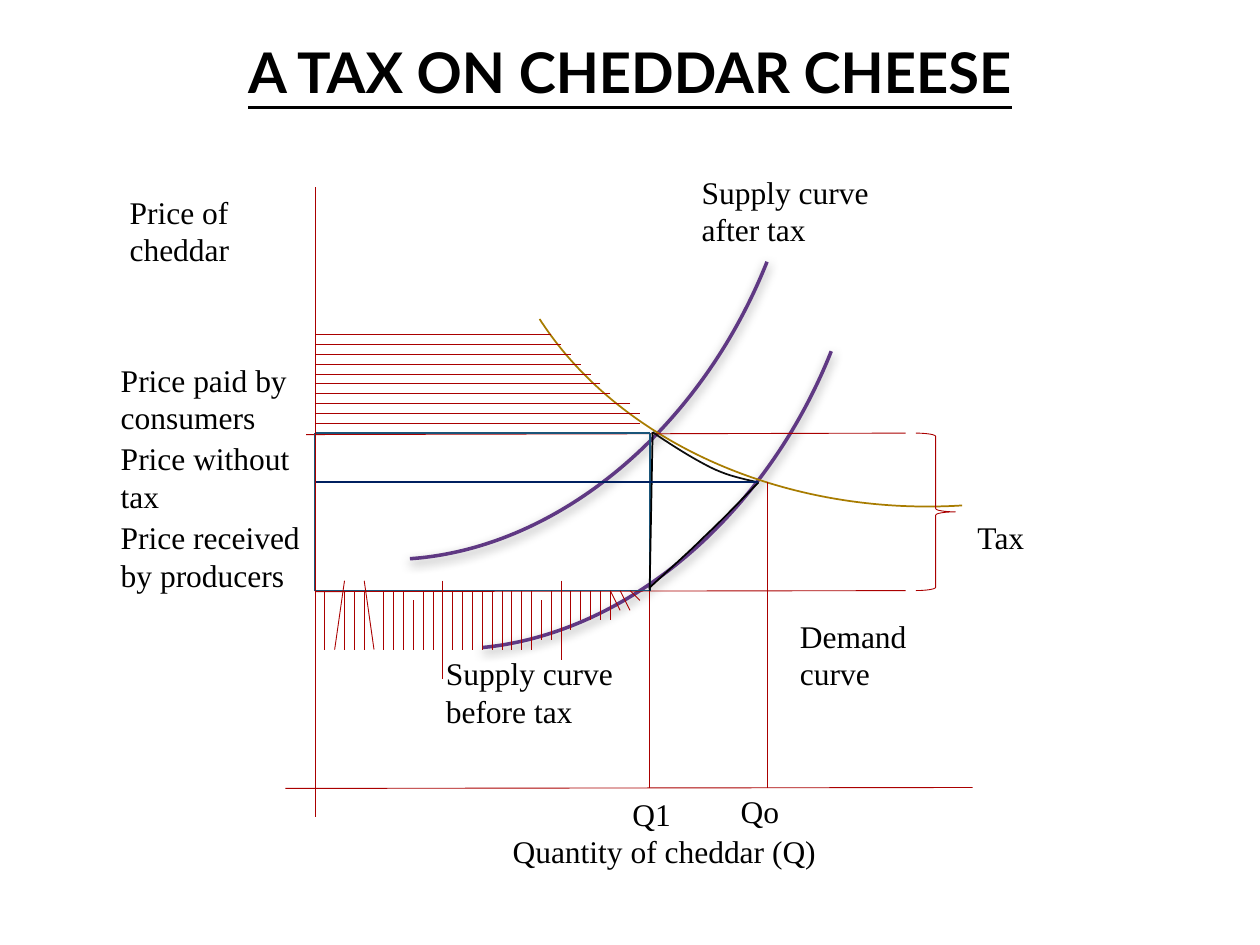
from lxml.etree import SubElement
from pptx import Presentation
from pptx.dml.color import RGBColor
from pptx.enum.shapes import MSO_CONNECTOR, MSO_SHAPE
from pptx.enum.text import MSO_ANCHOR, MSO_AUTO_SIZE, PP_ALIGN
from pptx.oxml.ns import qn
from pptx.util import Pt

COLORS = {
    "ink": "000000",
    "soft_ink": "0D0D0D",
    "rule": "AA0000",
    "supply": "5F3883",
    "demand": "A87C00",
    "revenue": "1A5579",
    "old_price": "002060",
}
GRID = 45 / 8
AXIS_X, CONSUMER_Y, OLD_Y, PRODUCER_Y = 32, 44, 49, 60
Q1_X, QO_X, BASE_Y = 66, 78, 80


def color(name):
    return RGBColor.from_string(COLORS[name])


def write(frame, text, font="Times New Roman", size=18, bold=False,
          underline=False, align=PP_ALIGN.LEFT, anchor=MSO_ANCHOR.TOP):
    frame.word_wrap = True
    frame.vertical_anchor = anchor
    paragraph = frame.paragraphs[0]
    paragraph.alignment = align
    run = paragraph.add_run()
    run.text = text
    run.font.name, run.font.size = font, Pt(size)
    run.font.bold, run.font.underline = bold, underline
    run.font.color.rgb = color("ink")


def bezier(start, first, second, end, steps=10):
    return [
        tuple((1 - t) ** 3 * a + 3 * (1 - t) ** 2 * t * b
              + 3 * (1 - t) * t ** 2 * c + t ** 3 * d
              for a, b, c, d in zip(start, first, second, end))
        for t in (step / steps for step in range(1, steps + 1))
    ]


class Diagram:
    def __init__(self, slide):
        self.slide = slide
        self.shapes = slide.shapes

    def title(self, text, left, top, width, height):
        heading = self.shapes.title
        heading.left, heading.top = Pt(left), Pt(top)
        heading.width, heading.height = Pt(width), Pt(height)
        write(heading.text_frame, text, font="Lato", size=32, bold=True,
              underline=True, align=PP_ALIGN.CENTER, anchor=MSO_ANCHOR.MIDDLE)

    def label(self, text, left, top, width, height):
        caption = self.shapes.add_textbox(Pt(left), Pt(top), Pt(width), Pt(height))
        write(caption.text_frame, text)
        caption.text_frame.auto_size = MSO_AUTO_SIZE.SHAPE_TO_FIT_TEXT

    def line(self, x1, y1, x2, y2, stroke="rule", weight=0.5):
        ends = [Pt(GRID * n) for n in (x1, y1, x2, y2)]
        rule = self.shapes.add_connector(MSO_CONNECTOR.STRAIGHT, *ends)
        rule.line.color.rgb = color(stroke)
        rule.line.width = Pt(weight)
        SubElement(rule._element.spPr, qn("a:effectLst"))

    def outline(self, shape, stroke, weight):
        shape.fill.background()
        shape.line.color.rgb = color(stroke)
        shape.line.width = Pt(weight)
        shape.shadow.inherit = False

    def arc(self, left, top, rotation, start, end, stroke, weight, shadow=False):
        curve = self.shapes.add_shape(
            MSO_SHAPE.ARC, Pt(left), Pt(top), Pt(496.8), Pt(390.96))
        curve.rotation = rotation
        curve.adjustments[0], curve.adjustments[1] = start, end
        self.outline(curve, stroke, weight)
        if shadow:
            effects = curve._element.spPr.find(qn("a:effectLst"))
            outer = SubElement(effects, qn("a:outerShdw"), blurRad=str(Pt(6)),
                               dist=str(Pt(2)), dir="5400000", rotWithShape="0")
            tint = SubElement(outer, qn("a:srgbClr"), val=COLORS["ink"])
            SubElement(tint, qn("a:alpha"), val="40000")

    def brace(self, left, top, width, height):
        bracket = self.shapes.add_shape(
            MSO_SHAPE.RIGHT_BRACE, Pt(left), Pt(top), Pt(width), Pt(height))
        self.outline(bracket, "rule", 0.5)

    def curve(self, start, segments, stroke):
        points, here = [], start
        for first, second, end in segments:
            points += bezier(here, first, second, end)
            here = end
        builder = self.shapes.build_freeform(Pt(start[0]), Pt(start[1]))
        builder.add_line_segments([(Pt(x), Pt(y)) for x, y in points], close=False)
        self.outline(builder.convert_to_shape(), stroke, 1)


deck = Presentation()
deck.slide_width, deck.slide_height = Pt(720), Pt(540)
diagram = Diagram(deck.slides.add_slide(deck.slide_layouts[5]))
diagram.title("A TAX ON CHEDDAR CHEESE", 54, 13.5, 612, 54)

diagram.line(98.8, BASE_Y, 29, 80.1)
for left, top, end in ((44.64, -66.24, 205.19), (7.92, -117.36, 205.88)):
    diagram.arc(left, top, 112.1, 161.61, end, "supply", 2, shadow=True)
diagram.arc(281.52, -101.52, 180, 158.51, 202.96, "demand", 1)

diagram.line(QO_X, OLD_Y, QO_X, BASE_Y)
diagram.line(Q1_X, 45, Q1_X, BASE_Y)
diagram.line(92, CONSUMER_Y, 31.1, 44.15)
diagram.line(92, PRODUCER_Y, AXIS_X, 60.1)

for price in (CONSUMER_Y, PRODUCER_Y):
    diagram.line(AXIS_X, price, Q1_X, price, "revenue", 1)
for quantity in (AXIS_X, Q1_X):
    diagram.line(quantity, CONSUMER_Y, quantity, PRODUCER_Y, "revenue", 1)

diagram.curve((372.96, 246.96), [
    ((384.48, 254.88), (396, 262.08), (406.08, 267.12)),
    ((416.16, 272.16), (424.8, 273.6), (433.44, 275.76)),
], "soft_ink")
diagram.curve((433.44, 275.76), [
    ((423.36, 285.84), (414, 295.92), (403.2, 306)),
    ((393.12, 316.08), (381.6, 326.16), (370.8, 336.24)),
], "ink")
diagram.line(Q1_X, PRODUCER_Y, 66.3, 43.9, "ink", 1)

for row, end in enumerate((56, 57, 58, 59, 60, 61, 62, 64, 65, 65), start=34):
    diagram.line(end, row, AXIS_X, row)

hatch_spans = {
    42: (61, 66), 45: (59, 69), 55: (61, 65), 56: (60, 65), 57: (59, 67),
    58: (60, 64), 59: (60, 63), 60: (60, 63), 61: (60, 63), 62: (60, 63),
}
slanted = {34: (35, 59), 38: (37, 59)}
for column in range(33, 63):
    top, bottom = hatch_spans.get(column, (PRODUCER_Y, 66))
    start, top = slanted.get(column, (column, top))
    diagram.line(start, top, column, bottom)
for start, bottom in ((62, 62), (63, 62), (64, 61)):
    diagram.line(start, PRODUCER_Y, start + 1, bottom)

diagram.brace(523.44, 247.5, 22.5, 90)
diagram.line(AXIS_X, OLD_Y, 77, OLD_Y, "old_price", 1)
diagram.line(AXIS_X, 19, AXIS_X, 83)

for caption in (
    ("Price paid by consumers", 61.92, 202.5, 112.5, 51),
    ("Price without tax", 61.92, 247.5, 112.5, 51),
    ("Price received by producers", 61.92, 292.5, 129.6, 51),
    ("Q1", 354.24, 450.72, 39.6, 51),
    ("Qo", 416.16, 449.28, 39.6, 29),
    ("Quantity of cheddar (Q)", 285.84, 471.6, 208.8, 29),
    ("Price of cheddar", 66.96, 106.56, 107.28, 51),
    ("Tax", 551.52, 292.5, 50.4, 29),
    ("Supply curve before tax", 247.68, 370.08, 112.5, 51),
    ("Supply curve after tax", 393.84, 95.04, 112.5, 51),
    ("Demand curve", 450, 348.75, 112.5, 72.72),
):
    diagram.label(*caption)

deck.save("out.pptx")
